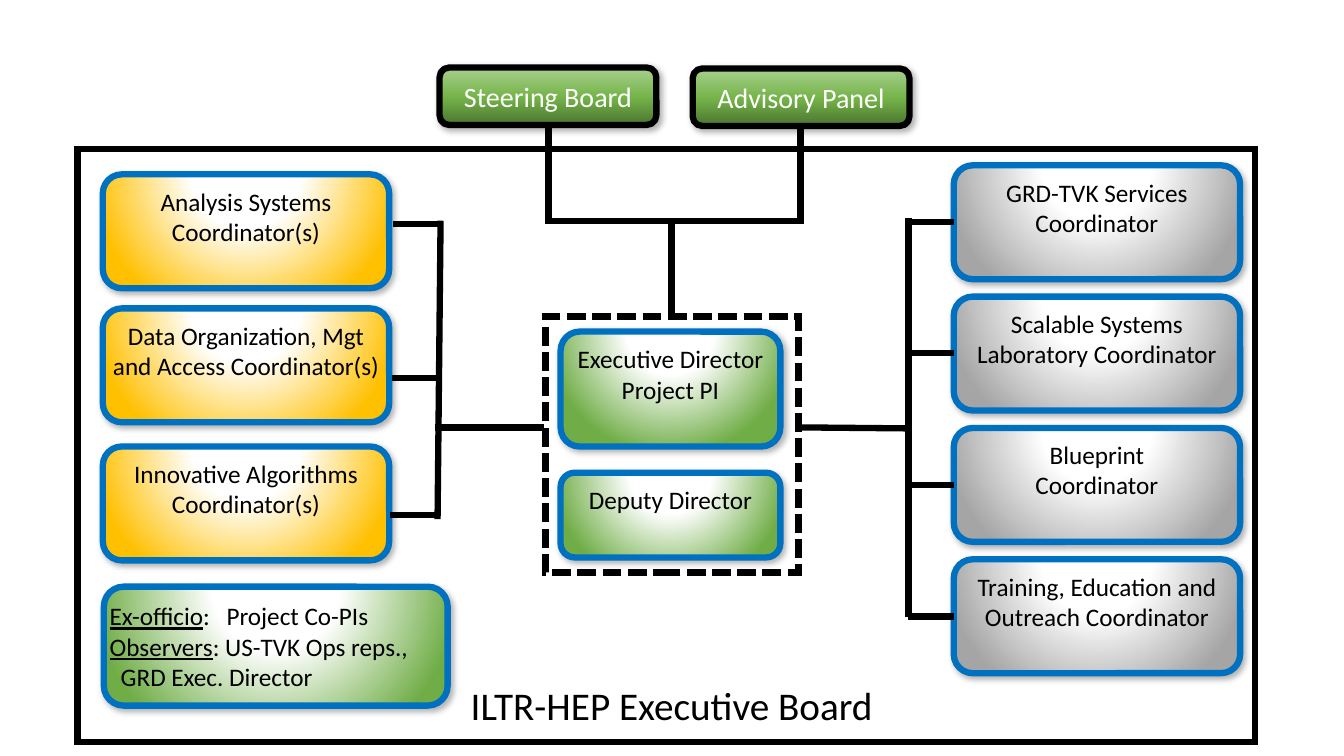
"""Build an organisation chart of an executive board."""
import pptx
import pptx.util
import pptx.dml.color
import pptx.oxml
import pptx.oxml.ns
import pptx.enum.dml
import pptx.enum.shapes
import pptx.enum.text

Inches, Pt = pptx.util.Inches, pptx.util.Pt
SHAPE = pptx.enum.shapes.MSO_SHAPE
CONN = pptx.enum.shapes.MSO_CONNECTOR
ALIGN = pptx.enum.text.PP_ALIGN
NS = pptx.oxml.ns.nsdecls("a")
qn = pptx.oxml.ns.qn
RADIAL = '<a:path path="circle"><a:fillToRect l="50000" t="-80000" r="50000" b="180000"/></a:path>'
LINEAR = '<a:lin ang="16200000" scaled="0"/>'
SHADOW = ('<a:outerShdw %s blurRad="57150" dist="33020" dir="3180000" algn="ctr" rotWithShape="0">'
          '<a:srgbClr val="000000"><a:alpha val="30000"/></a:srgbClr></a:outerShdw>' % NS)

prs = pptx.Presentation()
prs.slide_width, prs.slide_height = Inches(13.33), Inches(7.5)
s = prs.slides.add_slide(prs.slide_layouts[6])


def color(value):
    return pptx.dml.color.RGBColor.from_string(value)


def add_box(kind, x, y, w, h, line):
    sp = s.shapes.add_shape(kind, Inches(x), Inches(y), Inches(w), Inches(h))
    sp.shadow.inherit = False
    sp.fill.background()
    sp.line.color.rgb = color(line)
    sp.line.width = Pt(4.5)
    return sp


white_to = "0 FFFFFF 35 FFFFFF 100 "
gray, gold, green = white_to + "A5A5A5", white_to + "FFC000", white_to + "70AD47"
dark_green = "0 4B7430 48 74B349 100 A9D18E"

boxes = []
services = ["GRD-TVK Services\vCoordinator", "Scalable Systems Laboratory Coordinator",
            "Blueprint\vCoordinator", "Training, Education and Outreach Coordinator"]
for i, text in enumerate(services):
    boxes.append((9.46, 1.64 + 1.303 * i, 2.84, 1.13, gray, text))
research = ["Analysis Systems\vCoordinator(s)", "Data Organization, Mgt and Access Coordinator(s)",
            "Innovative Algorithms\vCoordinator(s)"]
for y, text in zip((1.73, 3.06, 4.43), research):
    boxes.append((1.02, y, 2.84, 1.13, gold, text))
boxes += [
    (5.56, 3.29, 2.18, 1.14, green, "Executive Director\vProject PI"),
    (5.56, 4.69, 2.18, 0.84, green, "Deputy Director"),
    (1.03, 5.82, 3.41, 1.18, green, "Ex-officio:\tProject Co-PIs\nObservers: US-TVK Ops reps.,\nGRD Exec. Director"),
    (4.36, 0.67, 2.15, 0.57, dark_green, "Steering Board"),
    (6.87, 0.68, 2.15, 0.57, dark_green, "Advisory Panel"),
]
for x, y, w, h, gradient, text in boxes:
    top_panel = gradient == dark_green
    members = text.startswith("Ex-officio")
    sp = add_box(SHAPE.ROUNDED_RECTANGLE, x, y, w, h, "000000" if top_panel else "0070C0")
    sp.fill.gradient()
    spPr = sp._element.spPr
    parts = gradient.split()
    stops = "".join('<a:gs pos="%s000"><a:srgbClr val="%s"/></a:gs>' % pair
                    for pair in zip(parts[::2], parts[1::2]))
    fill = pptx.oxml.parse_xml('<a:gradFill %s rotWithShape="1"><a:gsLst>%s</a:gsLst>%s</a:gradFill>'
                               % (NS, stops, LINEAR if top_panel else RADIAL))
    spPr.replace(spPr.find(qn("a:gradFill")), fill)
    spPr.find(qn("a:effectLst")).append(pptx.oxml.parse_xml(SHADOW))
    tf = sp.text_frame
    tf.word_wrap = True
    tf.vertical_anchor = pptx.enum.text.MSO_ANCHOR.MIDDLE
    tf.margin_left = tf.margin_right = 0
    tf.margin_top = Inches(0.05)
    tf.margin_bottom = Inches(0.05 if top_panel or members else 0.35)
    tf.text = text
    if members:
        for p in tf.paragraphs[:2]:
            label, rest = p.text.split(":")
            p.text = label
            p.runs[0].font.underline = True
            p.add_run().text = ":" + rest
        tabs = '<a:tabLst %s><a:tab pos="%d" algn="l"/></a:tabLst>' % (NS, Inches(1.16))
        tf.paragraphs[0]._p.get_or_add_pPr().append(pptx.oxml.parse_xml(tabs))
        tf.paragraphs[2]._p.get_or_add_pPr().set("marL", str(Inches(0.11)))
    for p in tf.paragraphs:
        p.alignment = ALIGN.LEFT if members else ALIGN.CENTER
        for r in p.runs:
            r.font.name = "Calibri"
            r.font.size = Pt(20 if top_panel else 18)
            r.font.color.rgb = color("FFFFFF" if top_panel else "000000")

board = add_box(SHAPE.RECTANGLE, 0.77, 1.48, 11.68, 5.88, "000000")
directors = add_box(SHAPE.RECTANGLE, 5.41, 3.14, 2.51, 2.54, "000000")
directors.line.dash_style = pptx.enum.dml.MSO_LINE.SQUARE_DOT
directors.line._get_or_add_ln().find(qn("a:prstDash")).set("val", "sysDash")

title = s.shapes.add_textbox(Inches(4.57), Inches(6.71), Inches(4.19), Inches(0.57))
title.text_frame.word_wrap = False
title.text_frame.auto_size = pptx.enum.text.MSO_AUTO_SIZE.SHAPE_TO_FIT_TEXT
title.text_frame.text = "ILTR-HEP Executive Board"
font = title.text_frame.paragraphs[0].runs[0].font
font.name, font.size, font.color.rgb = "Calibri", Pt(28), color("000000")

lines = [
    (4.37, 2.19, 4.34, 5.15), (3.9, 2.22, 4.37, 2.22), (3.89, 3.75, 4.33, 3.75),
    (3.87, 5.11, 4.31, 5.11), (4.31, 4.24, 5.4, 4.24), (7.9, 4.24, 9.02, 4.25),
    (9.01, 2.16, 9.01, 6.12),
]
lines += [(9.01, 2.2 + 1.305 * i, 9.46, 2.2 + 1.305 * i) for i in range(4)]
connectors = [s.shapes.add_connector(CONN.STRAIGHT, *map(Inches, ends)) for ends in lines]

for x1, y1, x2, y2 in [(5.44, 1.24, 6.66, 3.14), (7.94, 1.25, 6.66, 3.14)]:
    cx, cy = (x1 + x2) / 2, (y1 + y2) / 2
    half_w, half_h = (y2 - y1) / 2, abs(x2 - x1) / 2
    side = 1 if x2 > x1 else -1
    elbow = s.shapes.add_connector(CONN.ELBOW, Inches(cx + side * half_w), Inches(cy - half_h),
                                   Inches(cx - side * half_w), Inches(cy + half_h))
    elbow._element.spPr.find(qn("a:xfrm")).set("rot", "16200000" if side > 0 else "5400000")
    connectors.append(elbow)

for c in connectors:
    c.line.color.rgb = color("000000")
    c.line.width = Pt(4.5)
    c._element.spPr.append(pptx.oxml.parse_xml("<a:effectLst %s/>" % NS))

for sp in [board, directors] + connectors:
    sp.line._get_or_add_ln().append(pptx.oxml.parse_xml('<a:miter %s lim="800000"/>' % NS))

prs.save("out.pptx")
